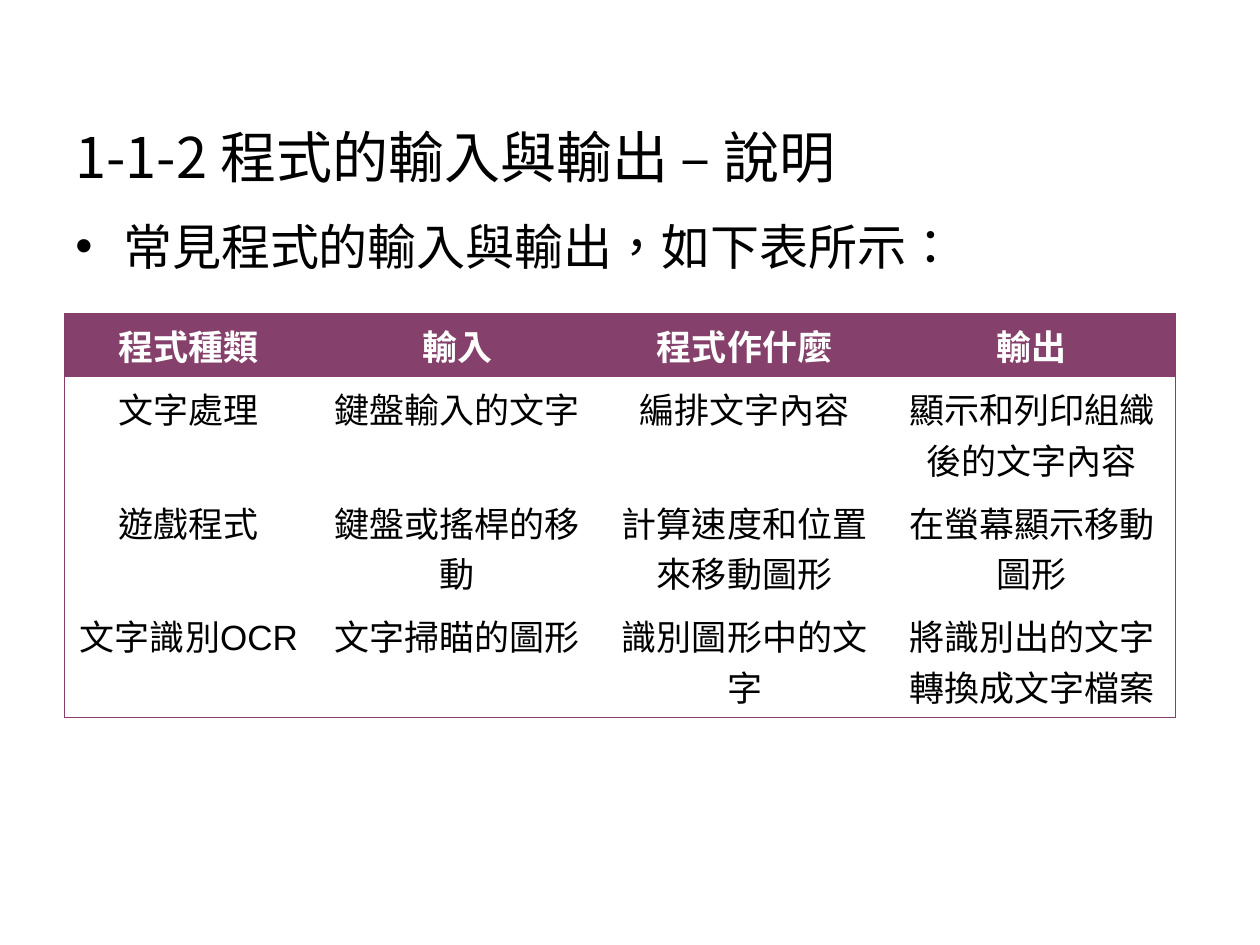
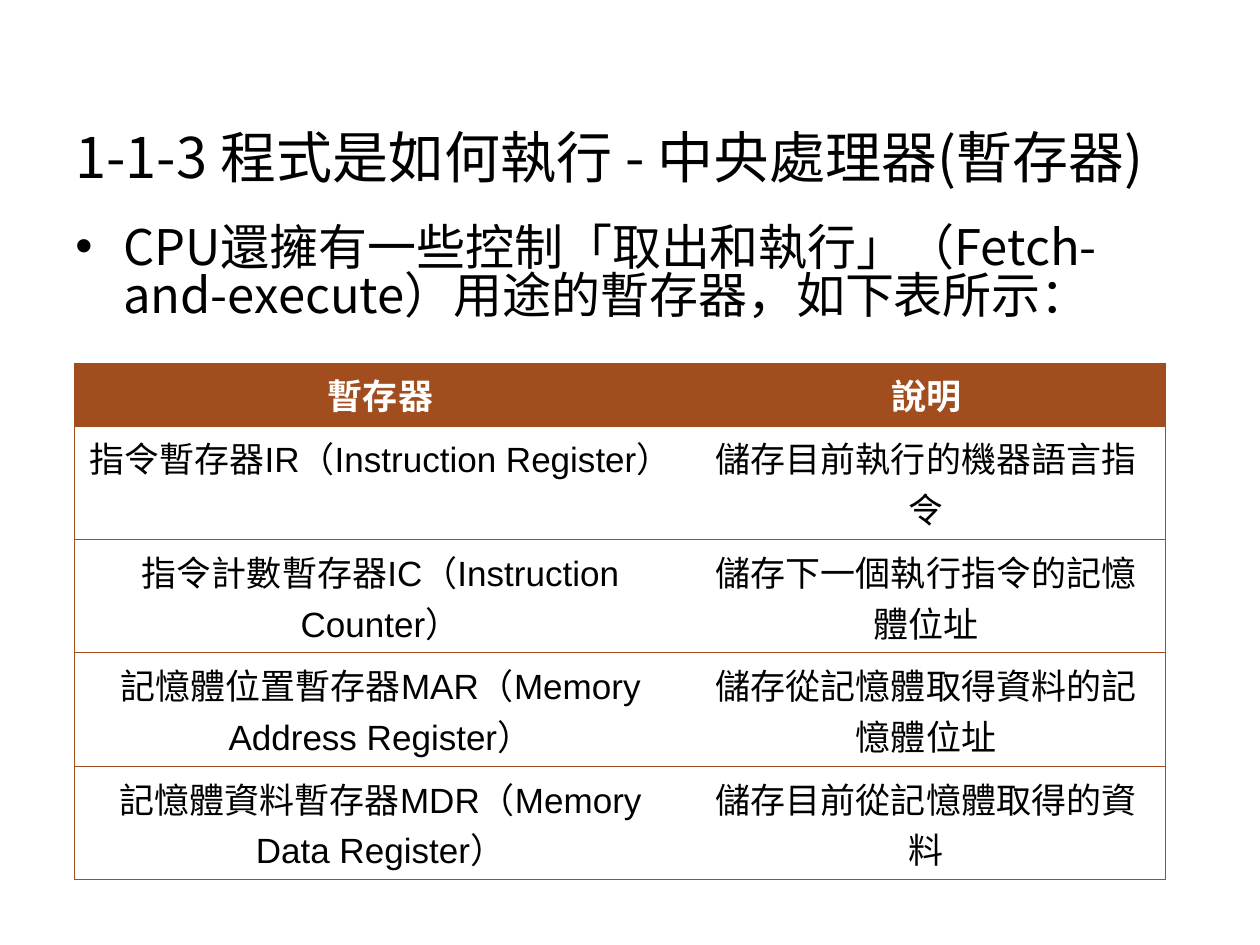
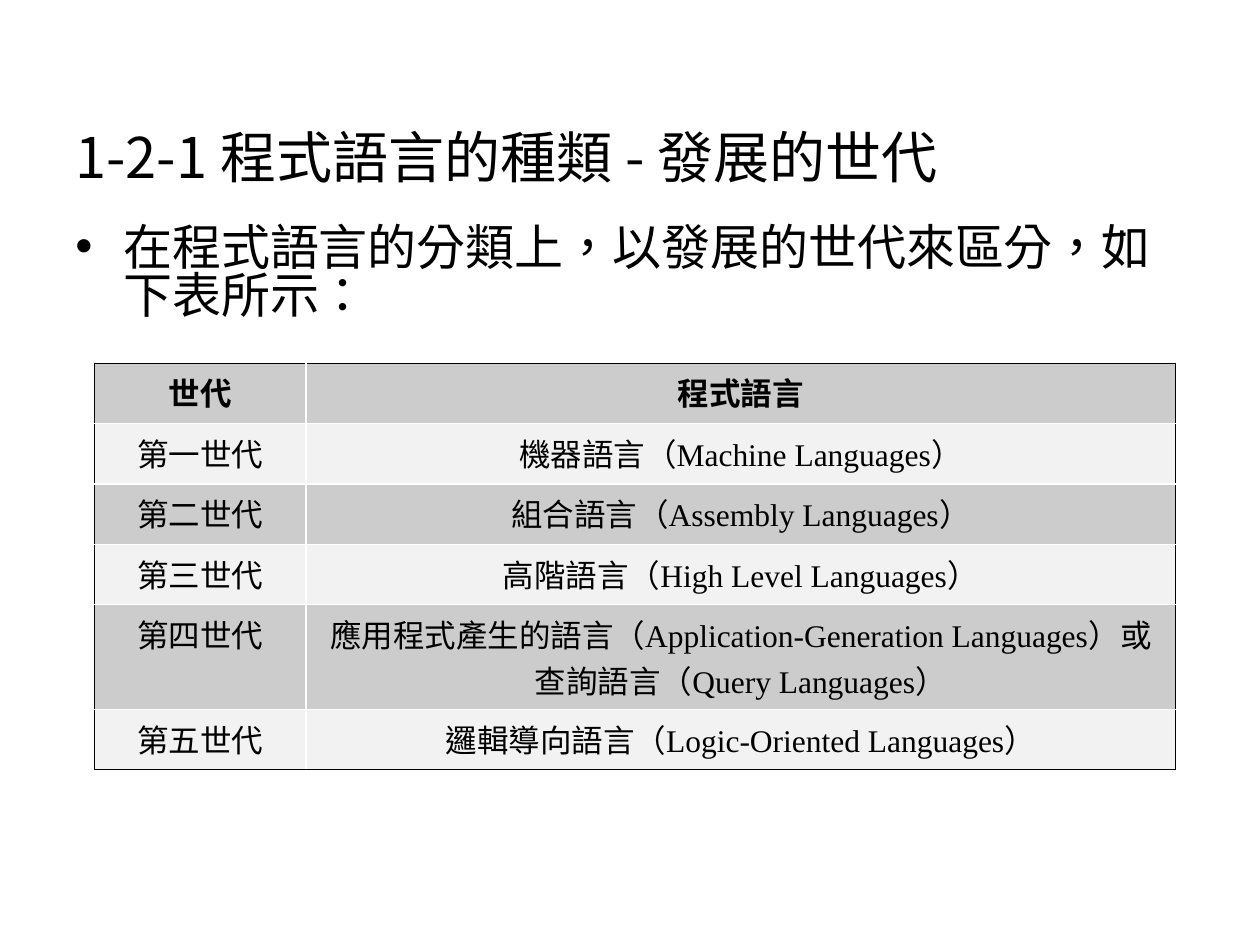
"""Builds three slides on program input and output, CPU registers and language generations."""
from lxml.etree import SubElement
from pptx import Presentation
from pptx.dml.color import RGBColor
from pptx.enum.text import MSO_ANCHOR as Anchor, PP_ALIGN as Align
from pptx.oxml.ns import qn
from pptx.util import Inches, Pt

BLACK, WHITE = "000000", "FFFFFF"
PURPLE, BROWN = "843E69", "A14D1D"
DARK_GREY, LIGHT_GREY = "CCCCCC", "F2F2F2"
CJK = "Noto Sans CJK SC"
TITLE_BOX = (0.5, 0.3, 9, 1.25)
BODY_BOX = (0.5, 1.75, 9, 4.95)
INDENT = 0.38

SLIDES = [
    dict(
        title="1-1-2 程式的輸入與輸出 – 說明",
        bullet="常見程式的輸入與輸出，如下表所示：", lang="zh-TW",
        at=(0.51, 2.49), cols=[1.98, 2.28, 2.28, 2.28], heights=[0.5, 0.9, 0.9, 0.9],
        font="Arial", size=20, head_color=WHITE, fills=["85416B", None, None, None],
        outer=(PURPLE, 0.34), inner=None,
        rows=[
            ("程式種類", "輸入", "程式作什麼", "輸出"),
            ("文字處理", "鍵盤輸入的文字", "編排文字內容", "顯示和列印組織後的文字內容"),
            ("遊戲程式", "鍵盤或搖桿的移動", "計算速度和位置來移動圖形", "在螢幕顯示移動圖形"),
            ("文字識別OCR", "文字掃瞄的圖形", "識別圖形中的文字", "將識別出的文字轉換成文字檔案"),
        ],
    ),
    dict(
        title="1-1-3 程式是如何執行 - 中央處理器(暫存器)",
        bullet="CPU還擁有一些控制「取出和執行」（Fetch-and-execute）用途的暫存器，如下表所示：",
        lang="en-US",
        at=(0.59, 2.88), cols=[4.86, 3.8], heights=[0.5, 0.9, 0.9, 0.9, 0.9],
        font="Arial", size=20, head_color=WHITE, fills=[BROWN] + [WHITE] * 4,
        outer=(BROWN, 0.45), inner=(BROWN, 0.45), column_lines=False,
        rows=[
            ("暫存器", "說明"),
            ("指令暫存器IR（Instruction Register）", "儲存目前執行的機器語言指令"),
            ("指令計數暫存器IC（Instruction Counter）", "儲存下一個執行指令的記憶體位址"),
            ("記憶體位置暫存器MAR（Memory Address Register）", "儲存從記憶體取得資料的記憶體位址"),
            ("記憶體資料暫存器MDR（Memory Data Register）", "儲存目前從記憶體取得的資料"),
        ],
    ),
    dict(
        title="1-2-1 程式語言的種類 - 發展的世代",
        bullet="在程式語言的分類上，以發展的世代來區分，如下表所示：", lang="zh-TW",
        at=(0.75, 2.88), cols=[1.68, 6.9], heights=[0.48, 0.48, 0.48, 0.48, 0.83, 0.48],
        font="Times New Roman", size=18, head_color=BLACK, fills=[DARK_GREY, LIGHT_GREY] * 3,
        outer=(BLACK, 0.45), inner=(WHITE, 0.96), column_lines=True,
        rows=[
            ("世代", "程式語言"),
            ("第一世代", "機器語言（Machine Languages）"),
            ("第二世代", "組合語言（Assembly Languages）"),
            ("第三世代", "高階語言（High Level Languages）"),
            ("第四世代", "應用程式產生的語言（Application-Generation Languages）或查詢語言（Query Languages）"),
            ("第五世代", "邏輯導向語言（Logic-Oriented Languages）"),
        ],
    ),
]


def rgb(color):
    return RGBColor.from_string(color)


def write(tf, text, size, font=CJK, color=BLACK, bold=False, align=Align.LEFT,
          spacing=None, bullet=False, lang="zh-TW"):
    tf.word_wrap = True
    p = tf.paragraphs[0]
    p.alignment = align
    p.line_spacing = spacing
    if bullet:
        pPr = p._p.get_or_add_pPr()
        pPr.set("marL", str(Inches(INDENT)))
        pPr.set("indent", str(-Inches(INDENT)))
        SubElement(pPr, qn("a:buFont"), typeface="Arial")
        SubElement(pPr, qn("a:buChar"), char="•")
    r = p.add_run()
    r.text = text
    r.font.size, r.font.bold, r.font.name = Pt(size), bold, font
    r.font.color.rgb = rgb(color)
    rPr = r._r.get_or_add_rPr()
    rPr.set("lang", lang)
    SubElement(rPr, qn("a:ea"), typeface=CJK)


def add_text(slide, box, text, size, anchor=Anchor.TOP, **fmt):
    tf = slide.shapes.add_textbox(*map(Inches, box)).text_frame
    tf.vertical_anchor = anchor
    write(tf, text, size, **fmt)


def set_borders(cell, sides):
    tcPr = cell._tc.get_or_add_tcPr()
    for i, (side, line) in enumerate(sides.items()):
        ln = tcPr.makeelement(qn(f"a:ln{side}"), {})
        tcPr.insert(i, ln)
        if line:
            color, width = line
            ln.set("w", str(Pt(width)))
            fill = SubElement(ln, qn("a:solidFill"))
            SubElement(fill, qn("a:srgbClr"), val=color)
        else:
            SubElement(ln, qn("a:noFill"))


def add_table(slide, spec):
    rows, cols, heights = spec["rows"], spec["cols"], spec["heights"]
    outer, inner = spec["outer"], spec["inner"]
    upright = inner if spec.get("column_lines") else None
    box = (*spec["at"], sum(cols), sum(heights))
    table = slide.shapes.add_table(len(rows), len(cols), *map(Inches, box)).table
    for column, width in zip(table.columns, cols):
        column.width = Inches(width)
    for i, (row, height, fill) in enumerate(zip(rows, heights, spec["fills"])):
        table.rows[i].height = Inches(height)
        for j, text in enumerate(row):
            cell = table.cell(i, j)
            if fill:
                cell.fill.solid()
                cell.fill.fore_color.rgb = rgb(fill)
            else:
                cell.fill.background()
            set_borders(cell, {
                "L": outer if j == 0 else upright,
                "R": outer if j == len(cols) - 1 else upright,
                "T": outer if i == 0 else inner,
                "B": outer if i == len(rows) - 1 else inner,
            })
            write(cell.text_frame, text, spec["size"], font=spec["font"], bold=i == 0,
                  color=BLACK if i else spec["head_color"], align=Align.CENTER)


def main():
    prs = Presentation()
    prs.slide_width, prs.slide_height = Inches(10), Inches(7.5)
    for spec in SLIDES:
        slide = prs.slides.add_slide(prs.slide_layouts[6])
        add_text(slide, TITLE_BOX, spec["title"], 32, anchor=Anchor.BOTTOM, spacing=0.82)
        add_text(slide, BODY_BOX, spec["bullet"], 28, spacing=0.82, bullet=True,
                 lang=spec["lang"])
        add_table(slide, spec)
    prs.save("out.pptx")


if __name__ == "__main__":
    main()
